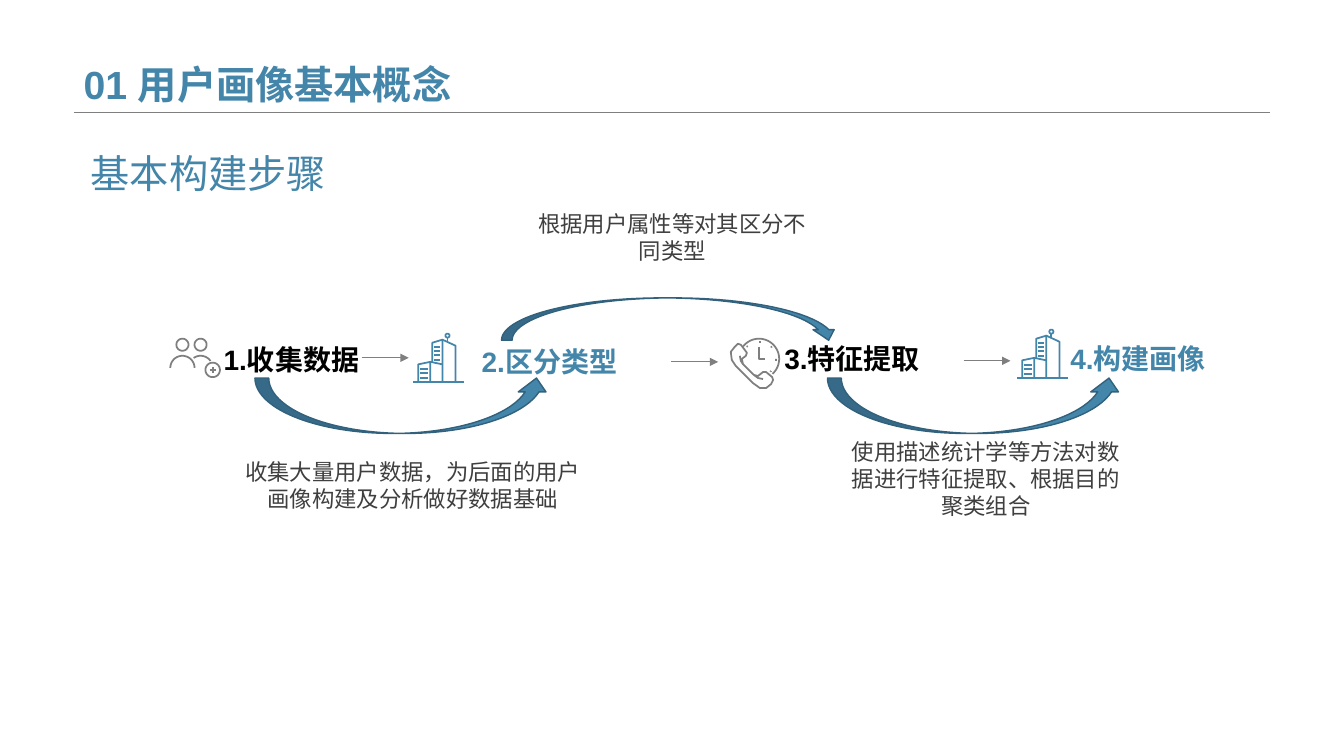
import math
from lxml import etree
from pptx import Presentation, util as u
from pptx.dml.color import RGBColor
from pptx.enum import shapes, text
from pptx.oxml.ns import qn

WIDE, HIGH = u.Inches(13.33), u.Inches(7.5)
BLUE, EDGE, GRAY, DARK, BLACK = "4485AA", "31617C", "7F7F7F", "3F3F3F", "000000"
LEFT, MID = text.PP_ALIGN.LEFT, text.PP_ALIGN.CENTER
KIND = shapes.MSO_SHAPE


# Positions are percentages of the slide's width and height
def col(part):
    return round(WIDE * part / 100)


def row(part):
    return round(HIGH * part / 100)


def hue(code):
    return RGBColor.from_string(code)


def label(slide, box, words, size, color, bold=False, align=LEFT, pad=0.1):
    x, y, w, h = box
    item = slide.shapes.add_textbox(col(x), row(y), col(w), row(h))
    frame = item.text_frame
    frame.word_wrap = True
    frame.margin_left = frame.margin_right = u.Inches(pad)
    frame.margin_top = frame.margin_bottom = u.Inches(pad / 2)
    frame.text = words
    para = frame.paragraphs[0]
    para.alignment = align
    font = para.runs[0].font
    font.name, font.size, font.bold = "Arial", u.Pt(size), bold
    font.color.rgb = hue(color)
    return frame


def rule(slide, x, y, span, arrow=False):
    item = slide.shapes.add_connector(
        shapes.MSO_CONNECTOR.STRAIGHT, col(x), row(y), col(x + span), row(y))
    item.line.color.rgb = hue(GRAY)
    item.line.width = u.Pt(0.75)
    props = item.element.spPr
    if arrow:
        etree.SubElement(props.find(qn("a:ln")), qn("a:tailEnd"), type="triangle")
    etree.SubElement(props, qn("a:effectLst"))


def bend(slide, kind, x, y, span, depth):
    """Curved arrow centred at x, y and turned to run left to right."""
    w, h = row(depth), col(span)
    item = slide.shapes.add_shape(kind, col(x) - w // 2, row(y) - h // 2, w, h)
    item.rotation = 270
    for i, value in enumerate((0.25, 0.5, 0.25)):
        item.adjustments[i] = value
    item.shadow.inherit = False
    item.fill.solid()
    item.fill.fore_color.rgb = hue(BLUE)
    item.line.color.rgb = hue(EDGE)
    item.line.width = u.Pt(1)


# Icons are strokes in hundredths of an inch from their top left corner
def arc(x, y, r, start=0, end=360):
    turns = [math.radians(start + (end - start) * i / 36) for i in range(37)]
    return [(x + r * math.cos(t), y + r * math.sin(t)) for t in turns]


def icon(slide, x, y, strokes, color):
    def place(dot):
        return (col(x) + u.Inches(dot[0] / 100), row(y) + u.Inches(dot[1] / 100))

    pen = slide.shapes.build_freeform(*place(strokes[0][0]))
    for i, stroke in enumerate(strokes):
        dots = [place(dot) for dot in stroke]
        if i:
            pen.move_to(*dots[0])
        pen.add_line_segments(dots[1:], close=False)
    item = pen.convert_to_shape()
    item.shadow.inherit = False
    item.fill.background()
    item.line.color.rgb = hue(color)
    item.line.width = u.Pt(1.25)


PEOPLE = [
    arc(13, 7, 6), arc(31, 7, 6),
    arc(13, 30, 12, 180, 360), arc(31, 30, 12, 235, 325),
    arc(43, 32, 7.2), [(43, 29), (43, 35)], [(40, 32), (46, 32)],
]
TOWER = [
    [(0, 49), (50, 49)],
    [(5, 49), (5, 31.5), (17, 29), (17, 49)],
    [(17, 29), (29, 31.5)],
    [(19, 30), (19, 10), (29, 7), (29, 49)],
    [(29, 7), (42, 13), (42, 49)],
    arc(34, 3, 2), [(34, 5), (34, 9)],
]
TOWER += [[(21, y), (27, y)] for y in (14, 18, 22.5, 27)]
TOWER += [[(7, y), (15, y)] for y in (36, 40, 45)]
PHONE = [
    arc(29, 21, 20, -142, 48),
    [(29, 9), (29, 21), (35, 21)],
    [(8, 6), (5, 9), (1, 14), (2, 22), (6, 28), (23, 45), (30, 50), (36, 50),
     (41, 46), (43, 42), (42, 39), (36, 34), (33, 34), (28, 38), (24, 37),
     (13, 26), (12, 21), (16, 18), (17, 15), (11, 7), (8, 6)],
    [(10, 18), (11, 23), (13, 26)], [(24, 37), (28, 40), (33, 41)],
]
PHONE += [arc(29, 21, 17, a, a + 3) for a in (-135, -90, -45, 0, 45)]


def main():
    deck = Presentation()
    deck.slide_width, deck.slide_height = WIDE, HIGH
    slide = deck.slides.add_slide(deck.slide_layouts[6])

    # Heading
    rule(slide, 5.48, 14.93, 89.04)
    title = label(slide, (5.48, 0, 89.04, 14.93), "01 用户画像基本概念", 28, BLUE, True)
    title.vertical_anchor = text.MSO_ANCHOR.BOTTOM
    title.paragraphs[0].line_spacing = 0.9
    label(slide, (6.23, 19.33, 24.53, 7.33), "基本构建步骤", 28, BLUE, pad=0.07)

    # Steps with their icons
    steps = [
        ("1.收集数据", 15.9, 44.67, BLACK, LEFT, PEOPLE, 12.6, 44.67, GRAY),
        ("2.区分类型", 35.1, 44.93, BLUE, LEFT, TOWER, 30.75, 44, BLUE),
        ("3.特征提取", 54.75, 44.53, BLACK, MID, PHONE, 54.3, 44.67, GRAY),
        ("4.构建画像", 78.9, 44.53, BLUE, LEFT, TOWER, 75.68, 43.47, BLUE),
    ]
    for words, x, y, color, align, art, left, top, tint in steps:
        label(slide, (x, y, 17.32, 6), words, 20, color, True, align)
        icon(slide, left, top, art, tint)

    # Arrows between steps
    for x, y in ((26.93, 47.33), (49.95, 47.87), (71.7, 47.73)):
        rule(slide, x, y, 3.48, arrow=True)
    for x in (29.96, 72.56):
        bend(slide, KIND.CURVED_RIGHT_ARROW, x, 53.67, 21.98, 7.33)
    bend(slide, KIND.CURVED_LEFT_ARROW, 49.88, 42.2, 25.13, 5.6)

    # Notes on each move
    notes = [
        ("根据用户属性等对其区分不同类型", 38.93, 27.2, 22.2),
        ("使用描述统计学等方法对数据进行特征提取、根据目的聚类组合", 62.25, 57.33, 22.2),
        ("收集大量用户数据，为后面的用户画像构建及分析做好数据基础", 17.18, 60, 27.08),
    ]
    for words, x, y, w in notes:
        label(slide, (x, y, w, 8.53), words, 16, DARK, align=MID)

    deck.save("out.pptx")


if __name__ == "__main__":
    main()
